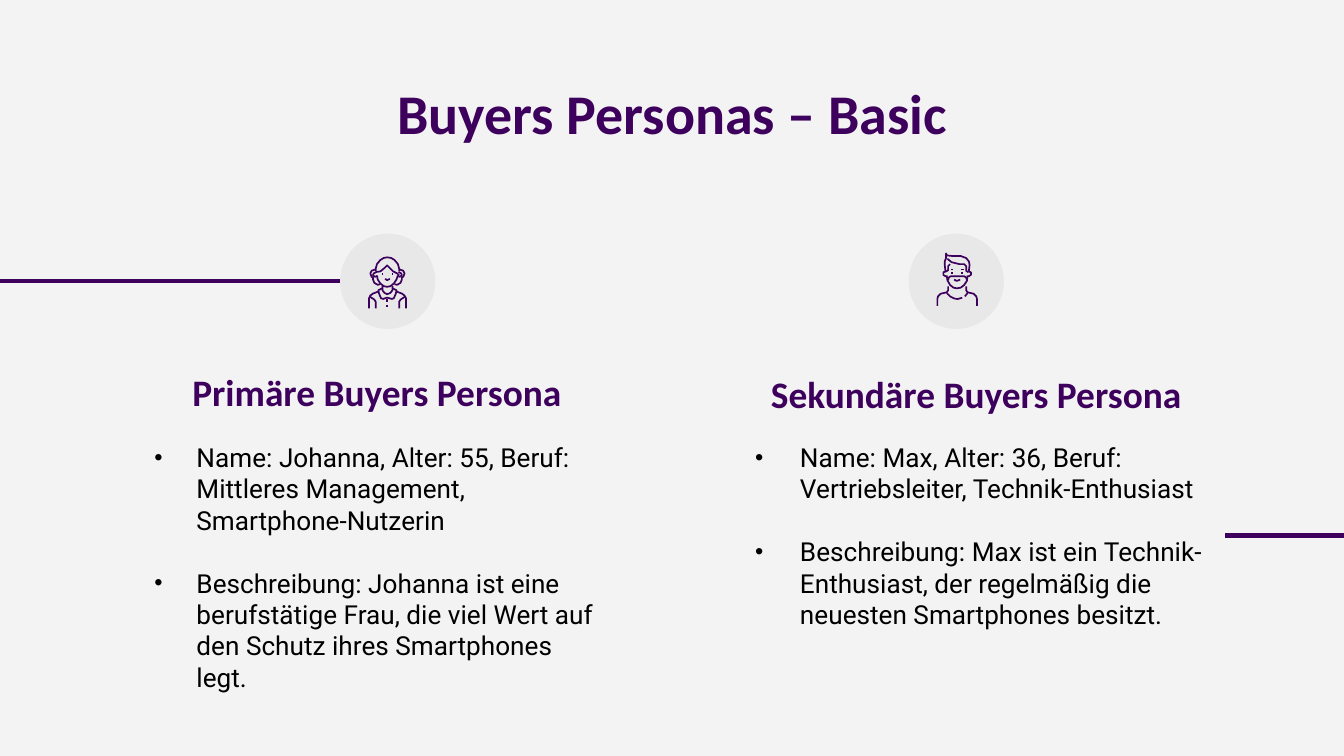
from lxml import etree
from pptx import Presentation
from pptx.dml.color import RGBColor
from pptx.enum.shapes import MSO_CONNECTOR, MSO_SHAPE
from pptx.enum.text import MSO_ANCHOR, PP_ALIGN
from pptx.oxml.ns import qn
from pptx.util import Pt

PURPLE = RGBColor(0x3D, 0x00, 0x5C)
BLACK = RGBColor(0x00, 0x00, 0x00)
PAPER = RGBColor(0xF3, 0xF3, 0xF3)
GREY = RGBColor(0xE8, 0xE8, 0xE8)
UNIT = 0.36  # points per step of the icon grid

deck = Presentation()
deck.slide_width, deck.slide_height = Pt(720), Pt(405)
slide = deck.slides.add_slide(deck.slide_layouts[6])
slide.background.fill.solid()
slide.background.fill.fore_color.rgb = PAPER
shapes = slide.shapes


def add_frame(box, anchor=MSO_ANCHOR.TOP):
    frame = shapes.add_textbox(*map(Pt, box)).text_frame
    frame.word_wrap = True
    frame.vertical_anchor = anchor
    frame.margin_left = frame.margin_right = Pt(7.2)
    frame.margin_top = frame.margin_bottom = Pt(7.2)
    return frame


def add_head(text, box, size, anchor):
    para = add_frame(box, anchor).paragraphs[0]
    para.text = text
    para.alignment = PP_ALIGN.CENTER
    font = para.font
    font.name, font.size, font.bold = "Calibri", Pt(size), True
    font.color.rgb = PURPLE


# Icon strokes: sides are also drawn mirrored, marks are shapes of their own
WOMAN = {
    "axis": 28.5,
    "sides": [
        [(11, 19), (5, 21), (3, 25), (5, 30), (7, 31), (7, 34), (9, 39), (14, 42), (18, 41)],
        [(12, 23), (8, 25), (7, 28), (10, 30), (13, 29)],
        [(1, 77), (1, 62), (3, 58), (7, 55), (15, 52)],
        [(11, 77), (11, 67), (9, 64), (3, 60)],
    ],
    "middle": [
        [(11, 22), (11, 18), (13, 11), (18, 5), (23, 2), (28, 1),
         (34, 2), (39, 5), (44, 11), (46, 18), (46, 22)],
        [(11, 23), (18, 22), (24, 17), (28, 13), (32, 17), (37, 22), (43, 25), (46, 28)],
        [(13, 28), (14, 34), (18, 40), (23, 44), (28, 45),
         (33, 44), (38, 40), (42, 34), (44, 28)],
        [(21, 44), (21, 50), (24, 54), (28, 56), (33, 54), (36, 50), (36, 44)],
        [(21, 47), (15, 50), (16, 55), (19, 62), (22, 63), (28, 61),
         (35, 63), (38, 62), (41, 55), (42, 50), (36, 47)],
        [(28, 63), (28, 67)],
    ],
    "marks": [
        [(21, 25), (21, 27)],
        [(36, 25), (36, 27)],
        [(25, 33), (28, 35), (32, 33)],
        [(28, 72), (28, 75)],
    ],
}
MAN = {
    "axis": 30.5,
    "sides": [
        [(14, 28), (10, 29), (10, 33), (13, 35), (15, 35)],
        [(17, 50), (17, 56), (15, 59), (6, 61), (2, 65), (1, 69), (1, 79)],
    ],
    "middle": [
        [(13, 27), (12, 18), (12, 13), (14, 8), (14, 1), (15, 4), (24, 5),
         (36, 5), (44, 8), (48, 13), (49, 18), (48, 27)],
        [(16, 9), (22, 14), (34, 17), (41, 17), (44, 20), (44, 27), (47, 29)],
        [(20, 17), (17, 20), (17, 26), (14, 28)],
        [(15, 34), (16, 41), (20, 48), (25, 52), (30, 53),
         (36, 52), (41, 48), (45, 42), (46, 34)],
        [(17, 41), (18, 37), (21, 35), (41, 35), (44, 37), (45, 41)],
        [(15, 60), (20, 65), (26, 68), (31, 69), (38, 67)],
        [(42, 65), (46, 60)],
    ],
    "marks": [
        [(23, 29), (23, 31)],
        [(38, 29), (38, 31)],
        [(26, 40), (30, 42), (35, 40)],
        [(21, 25), (25, 25)],
        [(36, 25), (40, 25)],
    ],
}

PERSONAS = [
    dict(
        head="Primäre Buyers Persona", place=(76.3, 187, 251.3, 41.8),
        items=["Name: Johanna, Alter: 55, Beruf: Mittleres Management, Smartphone-Nutzerin",
               "Beschreibung: Johanna ist eine berufstätige Frau, die viel Wert auf "
               "den Schutz ihres Smartphones legt."],
        body=(63.7, 229.3, 264.2, 115.2), indent=(34.5, 22.5),
        disc=182.2, icon=WOMAN, spot=(197.3, 137.5)),
    dict(
        head="Sekundäre Buyers Persona", place=(385.5, 188, 275, 41.8),
        items=["Name: Max, Alter: 36, Beruf: Vertriebsleiter, Technik-Enthusiast",
               "Beschreibung: Max ist ein Technik-Enthusiast, der regelmäßig die "
               "neuesten Smartphones besitzt."],
        body=(385.5, 229.3, 270.7, 115.2), indent=(36, 24),
        disc=486.8, icon=MAN, spot=(501.8, 135.4)),
]

add_head("Buyers Personas – Basic", (56.7, 34.9, 607, 45.4), 30, MSO_ANCHOR.TOP)

for who in PERSONAS:
    add_head(who["head"], who["place"], 20, MSO_ANCHOR.BOTTOM)

    frame = add_frame(who["body"])
    left, hang = who["indent"]
    for i, item in enumerate(who["items"]):
        para = frame.add_paragraph() if i else frame.paragraphs[0]
        para.text = item
        props = para._p.get_or_add_pPr()
        props.set("marL", str(Pt(left)))
        props.set("indent", str(-Pt(hang)))
        if i:
            para.space_before = Pt(16.8)
        etree.SubElement(props, qn("a:buSzPct")).set("val", "90000")
        etree.SubElement(props, qn("a:buFont")).set("typeface", "Arial")
        etree.SubElement(props, qn("a:buChar")).set("char", "•")
        para.font.name, para.font.size = "Roboto", Pt(14)
        para.font.color.rgb = BLACK

    disc = shapes.add_shape(MSO_SHAPE.OVAL, Pt(who["disc"]), Pt(125.2), Pt(51), Pt(51))
    disc.shadow.inherit = False
    disc.fill.solid()
    disc.fill.fore_color.rgb = GREY
    disc.line.fill.background()

    icon = who["icon"]
    twins = [[(2 * icon["axis"] - x, y) for x, y in side] for side in icon["sides"]]
    figure = icon["middle"] + icon["sides"] + twins
    group = shapes.add_group_shape()
    for part in [[mark] for mark in icon["marks"]] + [figure]:
        pen = group.shapes.build_freeform(*part[0][0], scale=Pt(UNIT))
        for i, stroke in enumerate(part):
            if i:
                pen.move_to(*stroke[0])
            pen.add_line_segments(stroke[1:], close=False)
        shape = pen.convert_to_shape(*map(Pt, who["spot"]))
        shape.shadow.inherit = False
        shape.fill.background()
        shape.line.color.rgb = PURPLE
        shape.line.width = Pt(0.9)

for start, end, y in [(-2, 182.2, 150.7), (656.5, 721.5, 286.9)]:
    rule = shapes.add_connector(MSO_CONNECTOR.STRAIGHT, Pt(start), Pt(y), Pt(end), Pt(y))
    rule.line.color.rgb = PURPLE
    rule.line.width = Pt(2.25)
    etree.SubElement(rule._element.spPr, qn("a:effectLst"))

deck.save("out.pptx")
